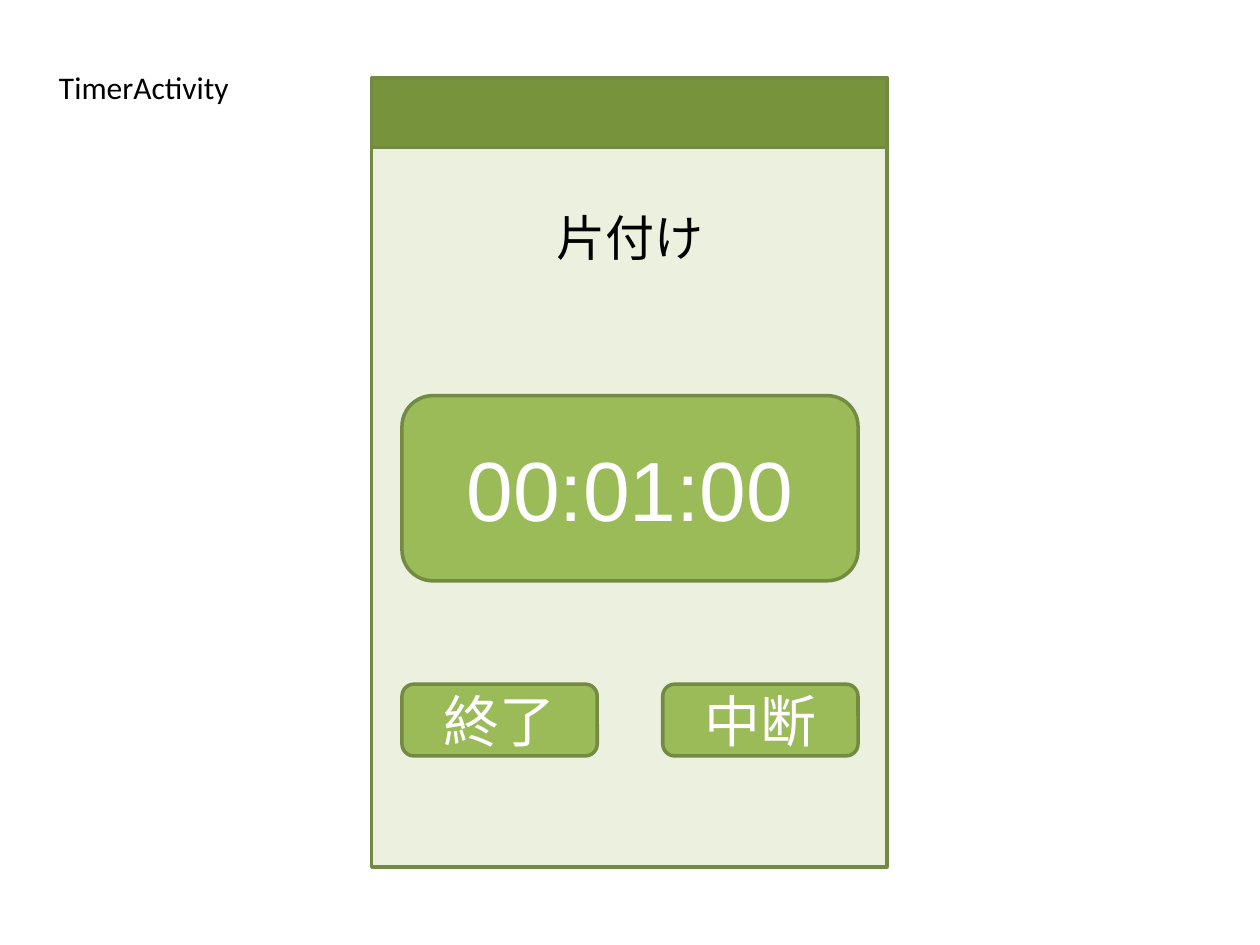
"""Build the TimerActivity screen mock-up slide."""
import pptx
import pptx.dml.color
import pptx.enum.shapes
import pptx.enum.text
import pptx.util

COLOURS = {
    "screen": "EBF1DE",
    "bar": "77933C",
    "button": "9BBB59",
    "outline": "738A42",
    "light": "FFFFFF",
    "dark": "000000",
}
SHAPES = pptx.enum.shapes.MSO_SHAPE
ALIGN = pptx.enum.text.PP_ALIGN
ANCHOR = pptx.enum.text.MSO_ANCHOR

SLIDE_WIDTH, SLIDE_HEIGHT = 10, 7.5
SCREEN_LEFT, SCREEN_TOP = 2.95, 0.62
SCREEN_WIDTH, SCREEN_HEIGHT = 4.09, 6.26
BAR_HEIGHT = 0.55
CONTENT_LEFT, CONTENT_WIDTH = 3.19, 3.62
BUTTON_TOP, BUTTON_WIDTH, BUTTON_HEIGHT = 5.43, 1.55, 0.57


def colour(name):
    """Return the named colour."""
    return pptx.dml.color.RGBColor.from_string(COLOURS[name])


def inches(*lengths):
    """Convert lengths in inches to slide units."""
    return [pptx.util.Inches(length) for length in lengths]


def write(shape, text, size, colour_name, font="Arial", align=ALIGN.CENTER):
    """Write one formatted line of text into a shape."""
    para = shape.text_frame.paragraphs[0]
    para.alignment = align
    span = para.add_run()
    span.text = text
    span.font.name = font
    span.font.size = pptx.util.Pt(size)
    span.font.color.rgb = colour(colour_name)


def add_panel(page, kind, area, fill):
    """Add an outlined, filled shape."""
    panel = page.shapes.add_shape(kind, *inches(*area))
    panel.shadow.inherit = False
    panel.fill.solid()
    panel.fill.fore_color.rgb = colour(fill)
    panel.line.color.rgb = colour("outline")
    panel.line.width = pptx.util.Pt(2)
    return panel


def add_button(page, area, text, size):
    """Add a rounded panel with centred light text."""
    button = add_panel(page, SHAPES.ROUNDED_RECTANGLE, area, "button")
    button.text_frame.word_wrap = True
    button.text_frame.vertical_anchor = ANCHOR.MIDDLE
    write(button, text, size, "light")


def add_label(page, area, text, size, font, align):
    """Add a text box with dark text."""
    box = page.shapes.add_textbox(*inches(*area))
    box.text_frame.word_wrap = True
    box.text_frame.auto_size = pptx.enum.text.MSO_AUTO_SIZE.SHAPE_TO_FIT_TEXT
    write(box, text, size, "dark", font, align)


def main():
    """Compose the slide and save it."""
    deck = pptx.Presentation()
    deck.slide_width, deck.slide_height = inches(SLIDE_WIDTH, SLIDE_HEIGHT)
    page = deck.slides.add_slide(deck.slide_layouts[6])

    for height, fill in ((SCREEN_HEIGHT, "screen"), (BAR_HEIGHT, "bar")):
        area = (SCREEN_LEFT, SCREEN_TOP, SCREEN_WIDTH, height)
        add_panel(page, SHAPES.RECTANGLE, area, fill)

    add_button(page, (CONTENT_LEFT, 3.14, CONTENT_WIDTH, 1.47), "00:01:00", 48)
    right_button = CONTENT_LEFT + CONTENT_WIDTH - BUTTON_WIDTH
    for left, text in ((right_button, "中断"), (CONTENT_LEFT, "終了")):
        add_button(page, (left, BUTTON_TOP, BUTTON_WIDTH, BUTTON_HEIGHT), text, 32)

    add_label(page, (CONTENT_LEFT, 1.6, CONTENT_WIDTH, 0.57), "片付け", 28,
              "Arial", ALIGN.CENTER)
    add_label(page, (0.37, 0.49, 1.86, 0.4), "TimerActivity", 18,
              "Calibri", ALIGN.LEFT)
    deck.save("out.pptx")


if __name__ == "__main__":
    main()
